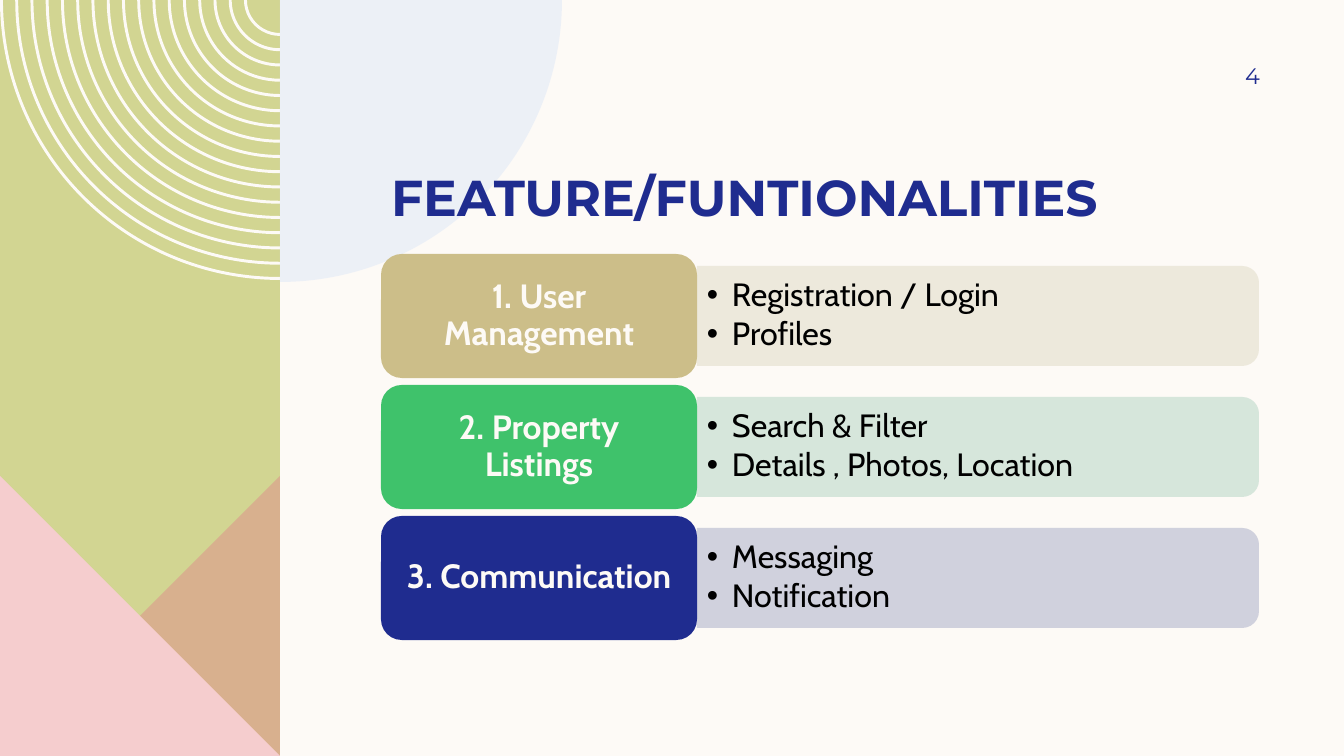
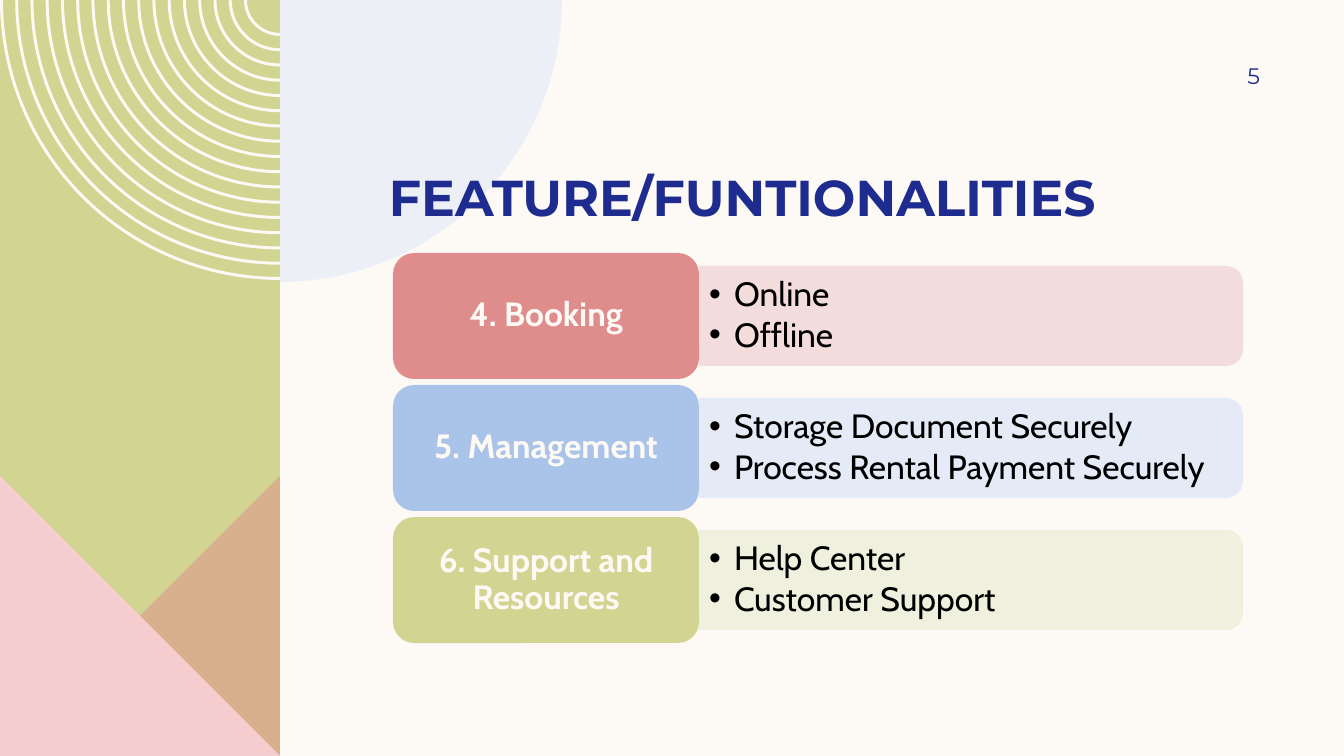
import pptx
import pptx.dml.color
import pptx.enum.shapes
import pptx.enum.text
import pptx.oxml.ns
import pptx.util
from lxml import etree

RGBColor = pptx.dml.color.RGBColor
Shapes = pptx.enum.shapes.MSO_SHAPE
Align = pptx.enum.text.PP_ALIGN
Anchor = pptx.enum.text.MSO_ANCHOR
qualified = pptx.oxml.ns.qn

WIDTH, HEIGHT = 1344, 756
SCALE = 12192000 / WIDTH
SIDEBAR = 280
BAND_HEIGHT = 100
RIGHT_ANGLE = 5400000
HEADING_FONT, BODY_FONT = "Montserrat", "Cabin"

CREAM = RGBColor(0xFD, 0xFA, 0xF6)
NAVY = RGBColor(0x1F, 0x2C, 0x8F)
BLACK = RGBColor(0x00, 0x00, 0x00)
OLIVE = RGBColor(0xD2, 0xD5, 0x92)
ROSE = RGBColor(0xDE, 0x8C, 0x8C)
PINK = RGBColor(0xF5, 0xCD, 0xCE)
PALE_BLUE = RGBColor(0xDD, 0xE7, 0xF6)
SAND = RGBColor(0xCC, 0xBE, 0x89)
GREEN = RGBColor(0x3F, 0xC2, 0x6B)
SKY = RGBColor(0xAA, 0xC3, 0xE8)
SAND_TINT = RGBColor(0xEC, 0xE8, 0xDA)
GREEN_TINT = RGBColor(0xD2, 0xE4, 0xD9)
NAVY_TINT = RGBColor(0xCC, 0xCD, 0xDB)
ROSE_TINT = RGBColor(0xF2, 0xDA, 0xDA)
SKY_TINT = RGBColor(0xE2, 0xE9, 0xF6)
OLIVE_TINT = RGBColor(0xEE, 0xEF, 0xDC)


def px(length):
    return pptx.util.Emu(round(length * SCALE))


def write_text(shape, text, *, size, color, font=BODY_FONT, bold=False, align=Align.LEFT,
               anchor=Anchor.MIDDLE, insets=(10, 5, 10, 5), line_spacing=1.0,
               space_after=0, bullet=False):
    frame = shape.text_frame
    frame.text = text
    frame.word_wrap = True
    frame.auto_size = pptx.enum.text.MSO_AUTO_SIZE.NONE
    frame.vertical_anchor = anchor
    frame.margin_left, frame.margin_top, frame.margin_right, frame.margin_bottom = map(px, insets)
    for paragraph in frame.paragraphs:
        paragraph.alignment = align
        paragraph.line_spacing = line_spacing
        paragraph.space_before = pptx.util.Pt(0)
        paragraph.space_after = pptx.util.Pt(space_after)
        if bullet:
            properties = paragraph._p.get_or_add_pPr()
            properties.set("marL", str(px(25)))
            properties.set("indent", str(px(-25)))
            etree.SubElement(properties, qualified("a:buChar")).set("char", "•")
        for run in paragraph.runs:
            run.font.name = font
            run.font.size = pptx.util.Pt(size)
            run.font.bold = bold
            run.font.color.rgb = color


class Deck:
    def __init__(self):
        self.presentation = pptx.Presentation()
        self.presentation.slide_width = px(WIDTH)
        self.presentation.slide_height = px(HEIGHT)
        self.layout = self.presentation.slide_layouts.get_by_name("Comparison")
        background = self.presentation.slide_master.background.fill
        background.solid()
        background.fore_color.rgb = CREAM
        self.slide = None

    def style(self, shape, color, opacity=100):
        shape.shadow.inherit = False
        shape.fill.solid()
        shape.fill.fore_color.rgb = color
        shape.line.fill.background()
        if opacity < 100:
            fill_color = shape.element.spPr.find(".//" + qualified("a:srgbClr"))
            alpha = etree.SubElement(fill_color, qualified("a:alpha"))
            alpha.set("val", str(opacity * 1000))
        return shape

    def place(self, shape, left, top, width, height):
        shape.left, shape.top, shape.width, shape.height = map(px, (left, top, width, height))

    def preset(self, kind, left, top, width, height, color, opacity=100):
        shape = self.slide.shapes.add_shape(kind, *map(px, (left, top, width, height)))
        return self.style(shape, color, opacity)

    def outline(self, contours, color, opacity=100, close=True):
        contours = [[(px(x), px(y)) for x, y in contour] for contour in contours]
        builder = self.slide.shapes.build_freeform(*contours[0][0], scale=1.0)
        for index, contour in enumerate(contours):
            if index:
                builder.move_to(*contour[0])
            builder.add_line_segments(contour[1:], close=close)
        return self.style(builder.convert_to_shape(), color, opacity)

    def round_first_segments(self, shape, radii, start_angle):
        moves = list(shape.element.iter(qualified("a:moveTo")))
        for move, radius in zip(moves, radii):
            segment = move.getnext()
            length = str(px(radius))
            curve = etree.Element(qualified("a:arcTo"), wR=length, hR=length,
                                  stAng=str(start_angle), swAng=str(-RIGHT_ANGLE))
            segment.getparent().replace(segment, curve)
        return shape

    def rings(self):
        radii = [278.5 - 15.25 * index for index in range(17)]
        contours = [[(SIDEBAR - radius, 0), (SIDEBAR, radius)] for radius in radii]
        shape = self.outline(contours, CREAM, close=False)
        shape.fill.background()
        shape.line.color.rgb = CREAM
        shape.line.width = pptx.util.Pt(2.1)
        return self.round_first_segments(shape, radii, 2 * RIGHT_ANGLE)

    def quarter_disc(self, radius):
        contour = [(SIDEBAR, radius), (SIDEBAR + radius, 0), (SIDEBAR, 0)]
        shape = self.outline([contour], PALE_BLUE, 50)
        return self.round_first_segments(shape, [radius], RIGHT_ANGLE)

    def decorate_layout(self):
        top = HEIGHT - SIDEBAR
        decorations = [
            self.preset(Shapes.RECTANGLE, 0, 0, SIDEBAR, HEIGHT, OLIVE),
            self.rings(),
            self.outline([[(SIDEBAR, top), (SIDEBAR, HEIGHT), (0, HEIGHT)]], ROSE, 50),
            self.outline([[(0, top), (SIDEBAR, HEIGHT), (0, HEIGHT)]], PINK),
            self.quarter_disc(282),
        ]
        for shape in decorations:
            self.layout.shapes.element.append(shape.element)

    def add_slide(self, title, title_left, number):
        first = self.slide is None
        self.slide = self.presentation.slides.add_slide(self.layout)
        if first:
            self.decorate_layout()
        heading = self.slide.shapes.title
        self.place(heading, title_left, 117, 878, 110)
        write_text(heading, title, size=36, color=NAVY, font=HEADING_FONT, bold=True,
                   anchor=Anchor.BOTTOM, insets=(10, 0, 10, 0))
        box = self.slide.shapes.add_textbox(*map(px, (1142, 50, 118, 52)))
        write_text(box, str(number), size=16, color=NAVY, font=HEADING_FONT,
                   align=Align.RIGHT, insets=(10, 5, 0, 5))

    def feature_rows(self, rows, *, left, top, label_width, label_height, pitch, band_width,
                     list_size):
        band_left = left + label_width
        shift = (band_width - BAND_HEIGHT) // 2
        for index, (label, items, color, tint) in enumerate(rows):
            label_top = top + index * pitch
            band_top = label_top + (label_height - BAND_HEIGHT) // 2
            band = self.preset(Shapes.ROUND_2_SAME_RECTANGLE, band_left + shift,
                               band_top - shift, BAND_HEIGHT, band_width, tint, 90)
            band.rotation = 90
            body = self.slide.placeholders[index + 1]
            self.place(body, band_left, band_top, band_width, BAND_HEIGHT)
            self.slide.shapes.element.append(body.element)
            write_text(body, "\n".join(items), size=list_size, color=BLACK,
                       line_spacing=0.9, space_after=3, bullet=True)
            card = self.preset(Shapes.ROUNDED_RECTANGLE, left, label_top, label_width,
                               label_height, color)
            write_text(card, label, size=24, color=CREAM, bold=True, align=Align.CENTER,
                       insets=(16, 11, 16, 11), line_spacing=0.9)
        for placeholder in list(self.slide.placeholders):
            if not placeholder.text_frame.text:
                self.slide.shapes.element.remove(placeholder.element)


def main():
    deck = Deck()
    title = "FEATURE/FUNTIONALITIES"

    deck.add_slide(title, 381, 4)
    deck.feature_rows([
        ("1. User Management", ["Registration / Login", "Profiles"], SAND, SAND_TINT),
        ("2. Property Listings", ["Search & Filter", "Details , Photos, Location"],
         GREEN, GREEN_TINT),
        ("3. Communication", ["Messaging", "Notification"], NAVY, NAVY_TINT),
    ], left=381, top=254, label_width=316, label_height=124, pitch=131, band_width=562,
        list_size=23)

    deck.add_slide(title, 379, 5)
    deck.feature_rows([
        ("4. Booking", ["Online", "Offline"], ROSE, ROSE_TINT),
        ("5. Management", ["Storage Document Securely", "Process Rental Payment Securely"],
         SKY, SKY_TINT),
        ("6. Support and Resources", ["Help Center", "Customer Support"], OLIVE, OLIVE_TINT),
    ], left=393, top=253, label_width=306, label_height=126, pitch=132, band_width=544,
        list_size=24)

    deck.presentation.save("out.pptx")


if __name__ == "__main__":
    main()
